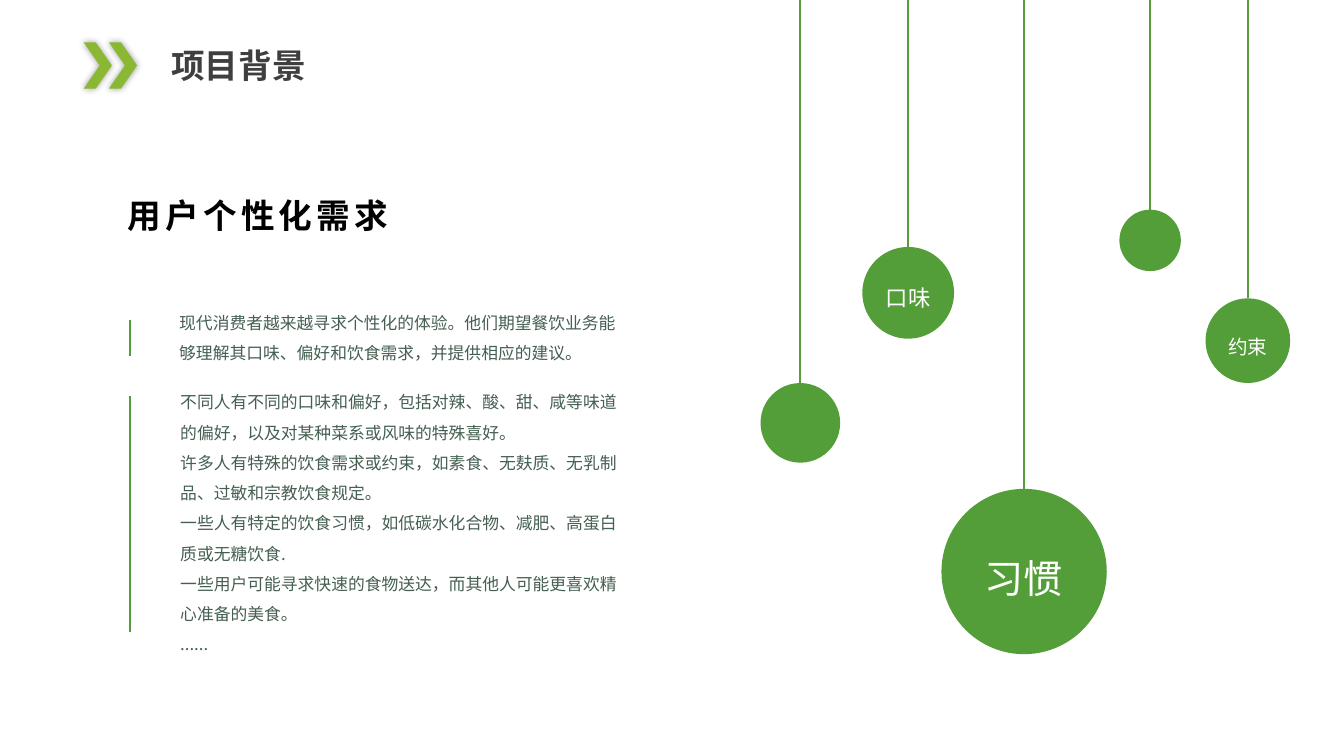
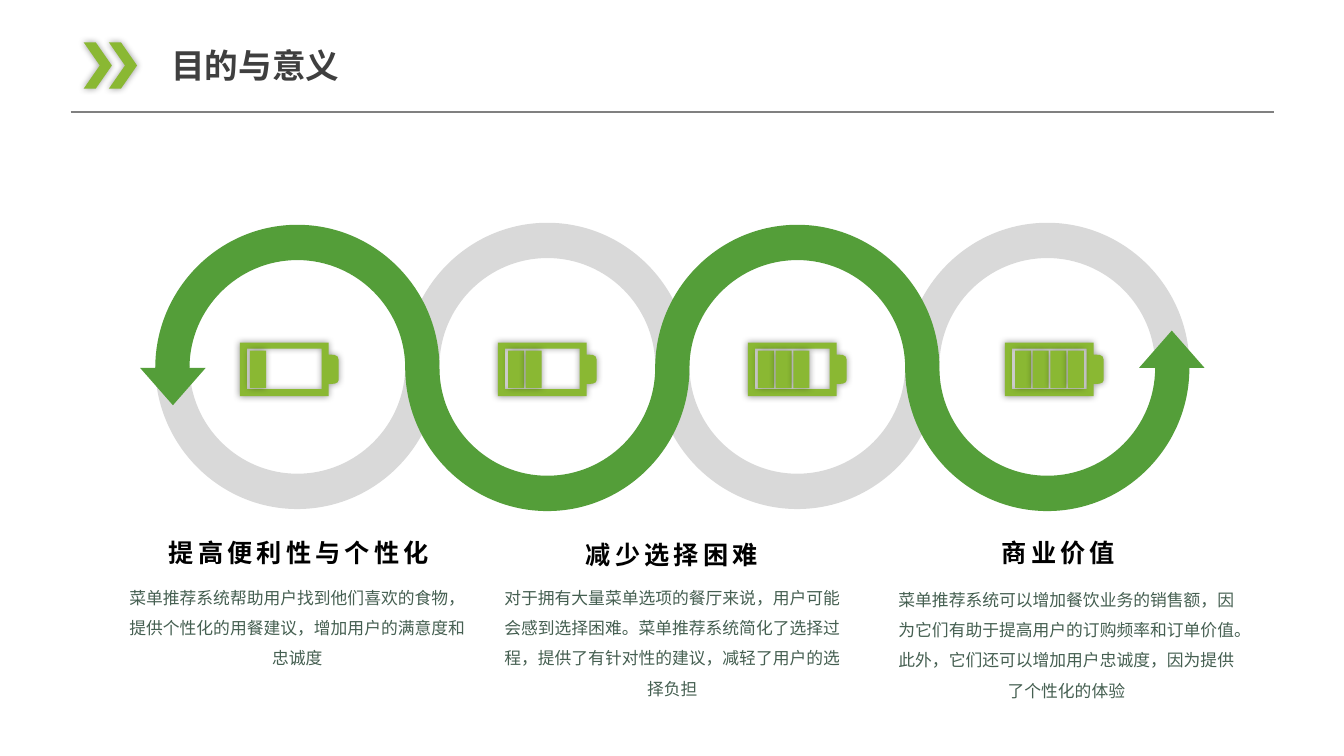
from dataclasses import dataclass

import pptx
import pptx.dml.color
import pptx.enum.shapes
import pptx.enum.text
import pptx.oxml
import pptx.oxml.ns
import pptx.util
from pptx.util import Inches


@dataclass(frozen=True)
class Theme:
    font: str = "Noto Sans CJK SC"
    green: str = "549E39"
    lime: str = "8AB833"
    body: str = "455F51"
    heading: str = "3F3F3F"
    black: str = "000000"
    white: str = "FFFFFF"
    rule: str = "808080"
    heading_size: float = 24
    caption_size: float = 18
    body_size: float = 12
    line_width: float = 1.25


THEME = Theme()
ALIGN = pptx.enum.text.PP_ALIGN
SHAPE = pptx.enum.shapes.MSO_SHAPE

BACKGROUND_HEADING = "项目背景"
DEMAND_TITLE = "用户个性化需求"
DEMAND_INTRO = ["现代消费者越来越寻求个性化的体验。他们期望餐饮业务能够理解其口味、偏好和饮食需求，并提供相应的建议。"]
DEMAND_DETAILS = [
    "不同人有不同的口味和偏好，包括对辣、酸、甜、咸等味道的偏好，以及对某种菜系或风味的特殊喜好。",
    "许多人有特殊的饮食需求或约束，如素食、无麸质、无乳制品、过敏和宗教饮食规定。",
    "一些人有特定的饮食习惯，如低碳水化合物、减肥、高蛋白质或无糖饮食.",
    "一些用户可能寻求快速的食物送达，而其他人可能更喜欢精心准备的美食。",
    "......",
]
DEMAND_BARS = [(3.93, 6.27), (3.17, 3.53)]
PENDANTS = [
    (7.94, 3.8, 0.79),
    (9.01, 2.45, 0.91),
    (10.16, 4.85, 1.64),
    (11.41, 2.08, 0.61),
    (12.38, 2.96, 0.84),
]
PENDANT_LABELS = [
    ("口味", 16, (8.47, 2.69, 1.08, 0.42)),
    ("约束", 14, (11.84, 3.2, 1.08, 0.38)),
    ("习惯", 28, (9.45, 5.31, 1.41, 0.65)),
]

PURPOSE_HEADING = "目的与意义"
BENEFITS = [
    ("提高便利性与个性化", (1.54, 5.28, 2.85, 0.4),
     "菜单推荐系统帮助用户找到他们喜欢的食物，提供个性化的用餐建议，增加用户的满意度和忠诚度",
     (1.15, 5.68, 3.6, 0.97)),
    ("减少选择困难", (5.68, 5.3, 1.97, 0.4),
     "对于拥有大量菜单选项的餐厅来说，用户可能会感到选择困难。菜单推荐系统简化了选择过程，提供了有针对性的建议，减轻了用户的选择负担",
     (4.87, 5.68, 3.6, 1.28)),
    ("商业价值", (9.81, 5.28, 1.38, 0.4),
     "菜单推荐系统可以增加餐饮业务的销售额，因为它们有助于提高用户的订购频率和订单价值。此外，它们还可以增加用户忠诚度，因为提供了个性化的体验",
     (8.78, 5.7, 3.6, 1.28)),
]
BATTERIES = [(7.42, 3), (4.94, 2), (2.38, 1), (9.97, 4)]
BATTERY_TOP = 3.4
BATTERY_SHELL = [
    [(0.88, 0.12)], [(0.88, 0)], [(0, 0)], [(0, 0.53)], [(0.88, 0.53)], [(0.88, 0.41)],
    [(0.92, 0.41), (0.98, 0.41), (0.98, 0.37)], [(0.98, 0.17)],
    [(0.98, 0.11), (0.91, 0.12), (0.88, 0.12)],
]
BATTERY_WINDOW = [[(0.81, 0.46)], [(0.07, 0.46)], [(0.07, 0.06)], [(0.81, 0.06)]]
CHEVRON = [[(0.16, 0.23)], [(0, 0.46)], [(0.12, 0.46)], [(0.28, 0.23)], [(0.12, 0)], [(0, 0)]]
RING_CENTRES = [2.95 + 2.48 * place for place in range(4)]
RING_OUTER, RING_INNER = (1.41, 1.42), (1.07, 1.07)
GREY_AXIS, GREEN_AXIS = 3.63, 3.65
ARC_HANDLE = 0.55


def rgb(colour):
    return pptx.dml.color.RGBColor.from_string(colour)


def add_effects(shape, shadow=""):
    namespace = pptx.oxml.ns.nsdecls("a")
    effects = pptx.oxml.parse_xml(f"<a:effectLst {namespace}>{shadow}</a:effectLst>")
    shape._element.spPr.append(effects)


def paint(shape, colour, alpha=None, glow=False):
    shape.fill.solid()
    shape.fill.fore_color.rgb = rgb(colour)
    shape.line.fill.background()
    if alpha is not None:
        tint = shape._element.spPr.find(".//" + pptx.oxml.ns.qn("a:srgbClr"))
        tint.append(pptx.oxml.parse_xml(
            f'<a:alpha {pptx.oxml.ns.nsdecls("a")} val="{alpha * 1000}"/>'))
    if glow:
        add_effects(shape, '<a:outerShdw blurRad="63500" dist="0" dir="0" algn="ctr" rotWithShape="0">'
                           '<a:srgbClr val="000000"><a:alpha val="40000"/></a:srgbClr></a:outerShdw>')
    else:
        shape.shadow.inherit = False


def add_preset(shapes, preset, box, colour, **finish):
    shape = shapes.add_shape(preset, *map(Inches, box))
    paint(shape, colour, **finish)
    return shape


def bend_segments(shape, segments):
    corners = iter(list(shape._element.iter(pptx.oxml.ns.qn("a:lnTo"))))
    for segment in segments:
        steps = [next(corners) for _ in segment]
        if len(steps) == 3:
            curve = pptx.oxml.parse_xml(f'<a:cubicBezTo {pptx.oxml.ns.nsdecls("a")}/>')
            steps[0].addprevious(curve)
            for step in steps:
                curve.append(step[0])
                step.getparent().remove(step)


def add_outline(shapes, contours, colour, left=0, top=0, **finish):
    builder = None
    for contour in contours:
        start, *rest = [(Inches(left + x), Inches(top + y)) for segment in contour for x, y in segment]
        if builder is None:
            builder = shapes.build_freeform(*start, scale=1.0)
        else:
            builder.move_to(*start)
        builder.add_line_segments(rest, close=True)
    shape = builder.convert_to_shape()
    bend_segments(shape, [segment for contour in contours for segment in contour[1:]])
    paint(shape, colour, **finish)


def add_line(shapes, start, end, colour, width=THEME.line_width):
    line = shapes.add_connector(pptx.enum.shapes.MSO_CONNECTOR.STRAIGHT,
                                *map(Inches, start + end))
    line.line.color.rgb = rgb(colour)
    line.line.width = pptx.util.Pt(width)
    add_effects(line)


def add_text(shapes, box, paragraphs, size, colour, align=ALIGN.LEFT, bold=False,
             line_spacing=None, tracking=None, wrap=True):
    frame = shapes.add_textbox(*map(Inches, box)).text_frame
    frame.word_wrap = wrap
    frame.auto_size = pptx.enum.text.MSO_AUTO_SIZE.SHAPE_TO_FIT_TEXT
    frame.text = "\n".join(paragraphs)
    for paragraph in frame.paragraphs:
        paragraph.alignment = align
        paragraph.line_spacing = line_spacing
        for run in paragraph.runs:
            run.font.size = pptx.util.Pt(size)
            run.font.bold = bold
            run.font.color.rgb = rgb(colour)
            run.font.name = THEME.font
            properties = run._r.get_or_add_rPr()
            east_asian = pptx.oxml.parse_xml(
                f'<a:ea {pptx.oxml.ns.nsdecls("a")} typeface="{THEME.font}"/>')
            properties.find(pptx.oxml.ns.qn("a:latin")).addnext(east_asian)
            if tracking:
                properties.set("spc", str(tracking * 100))


def add_body(shapes, box, paragraphs, align=ALIGN.LEFT):
    add_text(shapes, box, paragraphs, THEME.body_size, THEME.body, align, line_spacing=1.5)


def add_caption(shapes, box, caption, size, align):
    add_text(shapes, box, [caption], size, THEME.black, align, bold=True, tracking=3, wrap=False)


def add_heading(shapes, heading, ruled=False):
    band = shapes.add_group_shape().shapes
    if ruled:
        add_line(band, (0.7, 1.11), (12.64, 1.11), THEME.rule, width=1)
    for left in (1.08, 0.83):
        add_outline(band, [CHEVRON], THEME.lime, left, 0.42, glow=True)
    add_text(band, (1.6, 0.4, 2.19, 0.5), [heading], THEME.heading_size,
             THEME.heading, ALIGN.JUSTIFY, bold=True)


def half_ring(centre, axis, upward):
    direction = -1 if upward else 1

    def arc(radii, side):
        width, height = radii
        unit = [
            [(side, ARC_HANDLE), (side * ARC_HANDLE, 1), (0, 1)],
            [(-side * ARC_HANDLE, 1), (-side, ARC_HANDLE), (-side, 0)],
        ]
        return [[(centre + x * width, axis + direction * y * height) for x, y in segment]
                for segment in unit]

    start = [(centre - RING_OUTER[0], axis)]
    inner_start = [(centre + RING_INNER[0], axis)]
    return [start, *arc(RING_OUTER, -1), inner_start, *arc(RING_INNER, 1)]


def add_rings(shapes, axis, colour, first_upward, **finish):
    for place, centre in enumerate(RING_CENTRES):
        upward = (place % 2 == 0) == first_upward
        add_outline(shapes, [half_ring(centre, axis, upward)], colour, **finish)


def add_battery(shapes, left, charge):
    battery = shapes.add_group_shape().shapes
    add_outline(battery, [BATTERY_SHELL, BATTERY_WINDOW], THEME.lime, left, BATTERY_TOP, glow=True)
    for cell in range(charge):
        box = (left + 0.1 + 0.175 * cell, BATTERY_TOP + 0.08, 0.16, 0.37)
        add_preset(battery, SHAPE.RECTANGLE, box, THEME.lime, glow=True)


def build_background(shapes):
    for top, bottom in DEMAND_BARS:
        add_line(shapes, (1.29, top), (1.29, bottom), THEME.green)
    for centre, top, diameter in PENDANTS:
        add_line(shapes, (centre, 0), (centre, top), THEME.green)
        add_preset(shapes, SHAPE.OVAL, (centre - diameter / 2, top, diameter, diameter), THEME.green)
    for label, size, box in PENDANT_LABELS:
        add_text(shapes, box, [label], size, THEME.white, ALIGN.CENTER, line_spacing=1.3)
    add_caption(shapes, (1.17, 1.88, 2.85, 0.5), DEMAND_TITLE, THEME.heading_size, ALIGN.LEFT)
    add_body(shapes, (1.69, 3.74, 4.66, 2.79), DEMAND_DETAILS)
    add_body(shapes, (1.68, 2.95, 4.67, 0.67), DEMAND_INTRO)
    add_heading(shapes, BACKGROUND_HEADING)


def build_purpose(shapes):
    add_rings(shapes, GREY_AXIS, THEME.black, first_upward=False, alpha=15)
    add_rings(shapes, GREEN_AXIS, THEME.green, first_upward=True)
    down_arrow = add_preset(shapes, SHAPE.ISOSCELES_TRIANGLE, (1.39, 3.65, 0.65, 0.37), THEME.green)
    down_arrow.rotation = 180
    add_preset(shapes, SHAPE.ISOSCELES_TRIANGLE, (11.3, 3.28, 0.65, 0.37), THEME.green)
    for caption, caption_box, detail, detail_box in BENEFITS:
        add_caption(shapes, caption_box, caption, THEME.caption_size, ALIGN.CENTER)
        add_body(shapes, detail_box, [detail], ALIGN.CENTER)
    add_heading(shapes, PURPOSE_HEADING, ruled=True)
    for left, charge in BATTERIES:
        add_battery(shapes, left, charge)


deck = pptx.Presentation()
deck.slide_width, deck.slide_height = Inches(40 / 3), Inches(7.5)
for build in (build_background, build_purpose):
    build(deck.slides.add_slide(deck.slide_layouts[6]).shapes)
deck.save("out.pptx")
